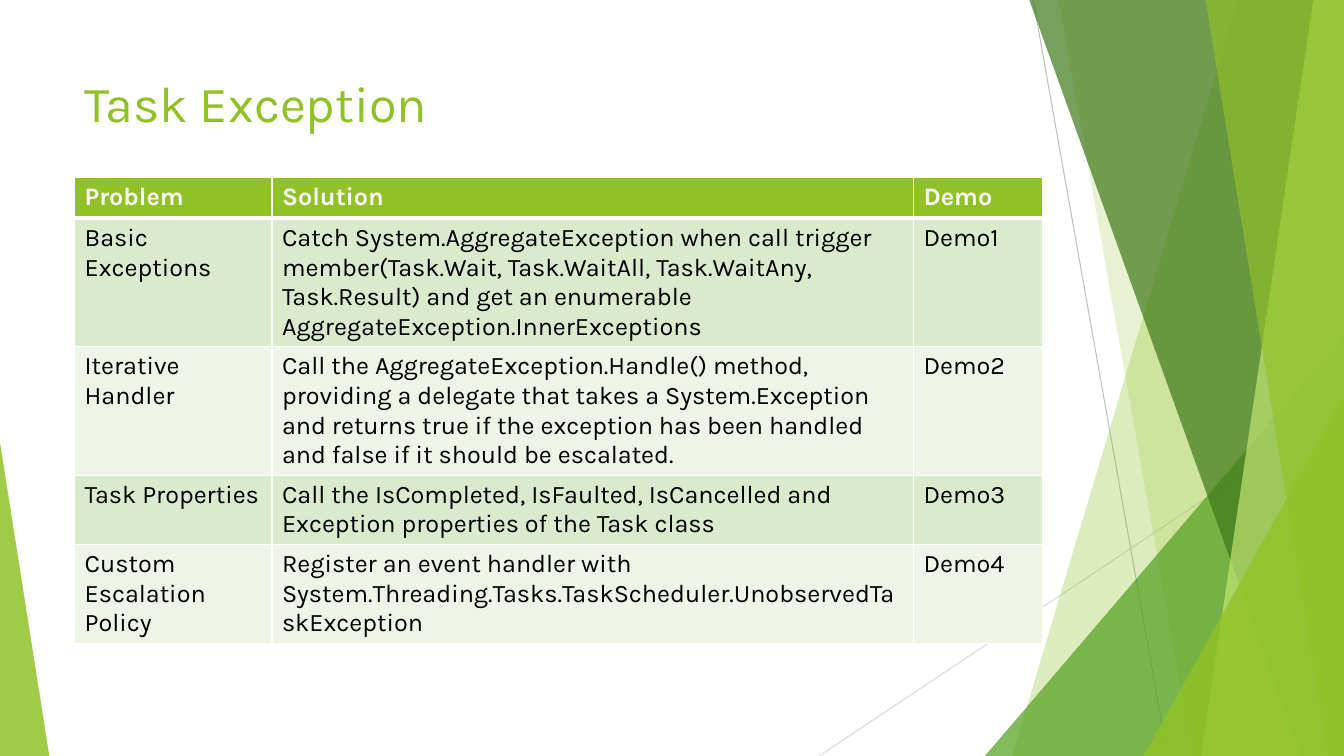
from dataclasses import dataclass
from lxml.etree import SubElement
from pptx import Presentation
from pptx.dml.color import RGBColor
from pptx.enum.shapes import MSO_CONNECTOR as Connector, MSO_SHAPE as Preset
from pptx.enum.text import MSO_ANCHOR as Anchor, MSO_AUTO_SIZE as AutoSize, PP_ALIGN as Align
from pptx.oxml.ns import qn
from pptx.util import Pt

PX = 9525
WIDTH, HEIGHT = 1280, 720


@dataclass(frozen=True)
class Theme:
    font: str = "Karla"
    title_size: int = 36
    body_size: int = 18
    white: str = "FFFFFF"
    black: str = "000000"
    lime: str = "90C226"
    pale_lime: str = "C0E474"
    green: str = "54A021"
    forest: str = "3F7819"
    bands: tuple = ("DBE9CD", "EEF4E8")
    line_dark: str = "BFBFBF"
    line_light: str = "D9D9D9"


THEME = Theme()

TITLE = "Task Exception"
TITLE_BOX = (71, 64, 902, 138)
TABLE_ORIGIN = (71, 169)
COLUMN_WIDTHS = (188, 611, 123)
ROW_HEIGHTS = (39, 122, 122, 66, 94)
ROWS = [
    ("Problem", "Solution", "Demo"),
    ("Basic Exceptions",
     "Catch System.AggregateException when call trigger member(Task.Wait, Task.WaitAll, "
     "Task.WaitAny, Task.Result) and get an enumerable AggregateException.InnerExceptions",
     "Demo1"),
    ("Iterative Handler",
     "Call the AggregateException.Handle() method, providing a delegate that takes a "
     "System.Exception and returns true if the exception has been handled and false if "
     "it should be escalated.",
     "Demo2"),
    ("Task Properties",
     "Call the IsCompleted, IsFaulted, IsCancelled and Exception properties of the Task class",
     "Demo3"),
    ("Custom Escalation Policy",
     "Register an event handler with "
     "System.Threading.Tasks.TaskScheduler.UnobservedTaskException",
     "Demo4"),
]

RAYS = [
    ((984, 0), (1112, HEIGHT), THEME.line_dark),
    ((WIDTH, 387), (780, HEIGHT), THEME.line_light),
]
FACETS = [
    ("blade", (1179, 964), THEME.lime, 30),
    ("blade", (1008, 1136), THEME.lime, 20),
    ("corner", (938, 320, 342, 1), THEME.green, 72),
    ("blade", (980, 1239), THEME.forest, 70),
    ("blade", (1251, 1144), THEME.pale_lime, 70),
    ("blade", (1148, 1265), THEME.lime, 65),
    ("corner", (1089, 377, 191, 1), THEME.lime, 80),
    ("corner", (0, 421, 47, 0), THEME.lime, 85),
]


def emu(*lengths):
    return [length * PX for length in lengths]


def rgb(color):
    return RGBColor.from_string(color)


def style_text(text_frame, size, color, bold=False):
    for paragraph in text_frame.paragraphs:
        paragraph.alignment = Align.LEFT
        for run in paragraph.runs:
            run.font.name = THEME.font
            run.font.size = Pt(size)
            run.font.bold = bold
            run.font.color.rgb = rgb(color)


def add_ray(slide, start, end, color):
    ray = slide.shapes.add_connector(Connector.STRAIGHT, *emu(*start, *end))
    ray.line.color.rgb = rgb(color)
    ray.line.width = Pt(0.75)
    SubElement(ray.element.spPr, qn("a:effectLst"))


def add_blade(slide, top_x, bottom_x):
    builder = slide.shapes.build_freeform(top_x, -1, scale=PX)
    builder.add_line_segments([(WIDTH, -1), (WIDTH, HEIGHT), (bottom_x, HEIGHT)], close=True)
    return builder.convert_to_shape()


def add_corner(slide, left, top, width, apex):
    corner = slide.shapes.add_shape(
        Preset.ISOSCELES_TRIANGLE, *emu(left, top, width, HEIGHT - top))
    corner.adjustments[0] = apex
    return corner


def add_facet(slide, kind, geometry, color, opacity):
    shape = {"blade": add_blade, "corner": add_corner}[kind](slide, *geometry)
    shape.shadow.inherit = False
    shape.line.fill.background()
    shape.fill.solid()
    shape.fill.fore_color.rgb = rgb(color)
    swatch = shape.element.spPr.find(qn("a:solidFill")).find(qn("a:srgbClr"))
    SubElement(swatch, qn("a:alpha"), val=str(opacity * 1000))


def add_borders(cell, top, bottom):
    properties = cell._tc.get_or_add_tcPr()
    for side, points in (("L", 1), ("R", 1), ("T", top), ("B", bottom)):
        border = SubElement(properties, qn(f"a:ln{side}"), w=str(Pt(points)))
        fill = SubElement(border, qn("a:solidFill"))
        SubElement(fill, qn("a:srgbClr"), val=THEME.white)


def add_title(slide):
    title = slide.shapes.title
    slide.shapes.element.append(title.element)
    title.left, title.top, title.width, title.height = emu(*TITLE_BOX)
    title.text_frame.text = TITLE
    title.text_frame.auto_size = AutoSize.NONE
    title.text_frame.vertical_anchor = Anchor.TOP
    style_text(title.text_frame, THEME.title_size, THEME.lime)


def add_solutions(slide):
    size = (sum(COLUMN_WIDTHS), sum(ROW_HEIGHTS))
    table = slide.shapes.add_table(
        len(ROWS), len(COLUMN_WIDTHS), *emu(*TABLE_ORIGIN, *size)).table
    for column, width in zip(table.columns, COLUMN_WIDTHS):
        column.width = width * PX
    for row, height in zip(table.rows, ROW_HEIGHTS):
        row.height = height * PX
    for index, texts in enumerate(ROWS):
        header = index == 0
        fill = THEME.lime if header else THEME.bands[(index - 1) % 2]
        for cell, text in zip(table.rows[index].cells, texts):
            cell.text_frame.text = text
            style_text(cell.text_frame, THEME.body_size,
                       THEME.white if header else THEME.black, bold=header)
            add_borders(cell, top=3 if index == 1 else 1, bottom=3 if header else 1)
            cell.fill.solid()
            cell.fill.fore_color.rgb = rgb(fill)


def main():
    presentation = Presentation()
    presentation.slide_width, presentation.slide_height = emu(WIDTH, HEIGHT)
    slide = presentation.slides.add_slide(presentation.slide_layouts[5])
    for ray in RAYS:
        add_ray(slide, *ray)
    for facet in FACETS:
        add_facet(slide, *facet)
    add_title(slide)
    add_solutions(slide)
    presentation.save("out.pptx")


if __name__ == "__main__":
    main()
